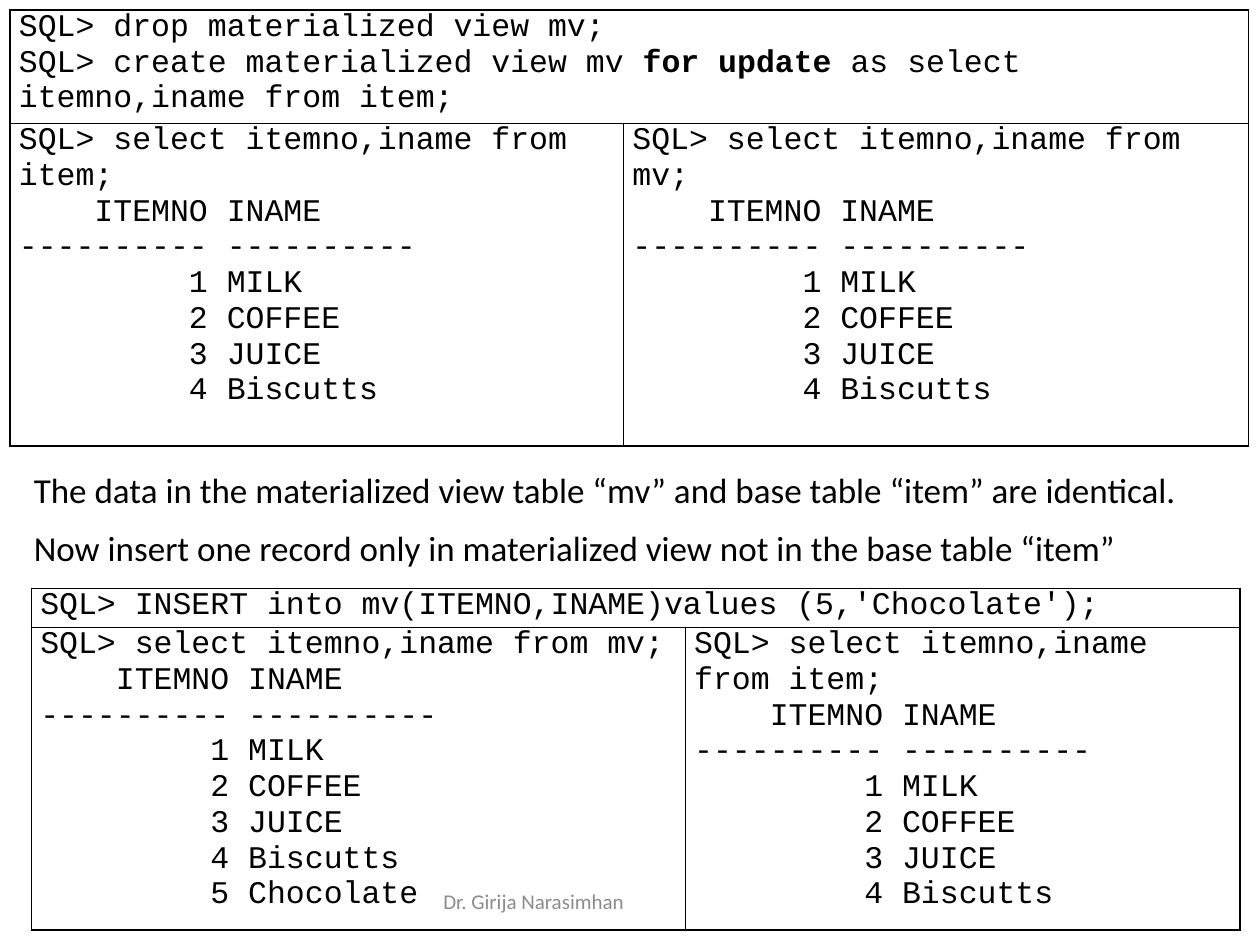
"""Build the slide comparing a base table with its updatable materialized view."""
from lxml import etree
from pptx import Presentation, util as u
from pptx.dml import color
from pptx.enum import text
from pptx.oxml import ns

THEME = {
    "ink": color.RGBColor(0, 0, 0), "muted": color.RGBColor(0x8C, 0x8C, 0x8C),
    "code_font": "Courier New", "body_font": "Calibri",
    "code": u.Pt(18), "body": u.Pt(20), "footer": u.Pt(12),
}

presentation = Presentation()
presentation.slide_width, presentation.slide_height = u.Inches(10), u.Inches(7.5)
slide = presentation.slides.add_slide(presentation.slide_layouts[6])
UNIT = presentation.slide_width // 100
CHARACTER = u.Pt(10.8)


def write(frame, lines, font, size, ink):
    """Fill a frame with (indent in characters, text) lines; ** marks bold."""
    frame.word_wrap = True
    for number, (indent, line) in enumerate(lines):
        paragraph = frame.add_paragraph() if number else frame.paragraphs[0]
        paragraph.font.name, paragraph.font.size = font, size
        paragraph.font.color.rgb = ink
        if indent:
            paragraph._p.get_or_add_pPr().set("marL", str(int(indent * CHARACTER)))
        for part, wording in enumerate(line.split("**")):
            run = paragraph.add_run()
            run.text = wording
            if part % 2:
                run.font.bold = True


def style_cell(cell, lines):
    """Write code into a plain cell with thin black borders."""
    cell.margin_left = cell.margin_right = u.Inches(0.07)
    cell.margin_top = cell.margin_bottom = 0
    write(cell.text_frame, lines, THEME["code_font"], THEME["code"], THEME["ink"])
    properties = cell._tc.get_or_add_tcPr()
    for side in ("a:lnL", "a:lnR", "a:lnT", "a:lnB"):
        border = etree.SubElement(properties, ns.qn(side), w=str(u.Pt(1)))
        fill = etree.SubElement(border, ns.qn("a:solidFill"))
        etree.SubElement(fill, ns.qn("a:srgbClr"), val=str(THEME["ink"]))
    cell.fill.background()


items = ["MILK", "COFFEE", "JUICE", "Biscutts", "Chocolate"]
texts = [
    ((34.2, 69.5, 31.7, 4), ["Dr. Girija Narasimhan"], "footer", "muted"),
    ((1.7, 36.7, 96.7, 9.1),
     ["The data in the materialized view table “mv” and base table “item” are identical.",
      "Now insert one record only in materialized view not in the base table “item”"],
     "body", "ink"),
]
tables = [
    ((0.8, 0.8), (48.7, 49.6), (8.5, 25.6),
     ["SQL> drop materialized view mv;",
      "SQL> create materialized view mv **for update** as select itemno,iname from item;"],
     [("item", 4), ("mv", 4)]),
    ((2.5, 46.7), (51.9, 44), (3.1, 24),
     ["SQL> INSERT into mv(ITEMNO,INAME)values (5,'Chocolate');"],
     [("mv", 5), ("item", 4)]),
]

for place, lines, size, ink in texts:
    box = slide.shapes.add_textbox(*(int(share * UNIT) for share in place))
    write(box.text_frame, [(0, line) for line in lines],
          THEME["body_font"], THEME[size], THEME[ink])
    box.text_frame.vertical_anchor = (
        text.MSO_ANCHOR.MIDDLE if size == "footer" else text.MSO_ANCHOR.TOP)
    for paragraph in box.text_frame.paragraphs[1:]:
        paragraph.space_before = u.Pt(9)

for place, widths, heights, statements, queries in tables:
    bounds = (*place, sum(widths), sum(heights))
    table = slide.shapes.add_table(2, 2, *(int(share * UNIT) for share in bounds)).table
    table.first_row = table.horz_banding = False
    for column, width in zip(table.columns, widths):
        column.width = int(width * UNIT)
    for row, height in zip(table.rows, heights):
        row.height = int(height * UNIT)
    table.cell(0, 0).merge(table.cell(0, 1))
    style_cell(table.cell(0, 0), [(0, line) for line in statements])
    style_cell(table.cell(0, 1), [])
    for column, (source, count) in enumerate(queries):
        records = [(9, f"{number} {item}") for number, item in enumerate(items[:count], 1)]
        style_cell(table.cell(1, column), [
            (0, f"SQL> select itemno,iname from {source};"),
            (4, "ITEMNO INAME"),
            (0, "---------- ----------"),
            *records,
        ])

presentation.save("out.pptx")
